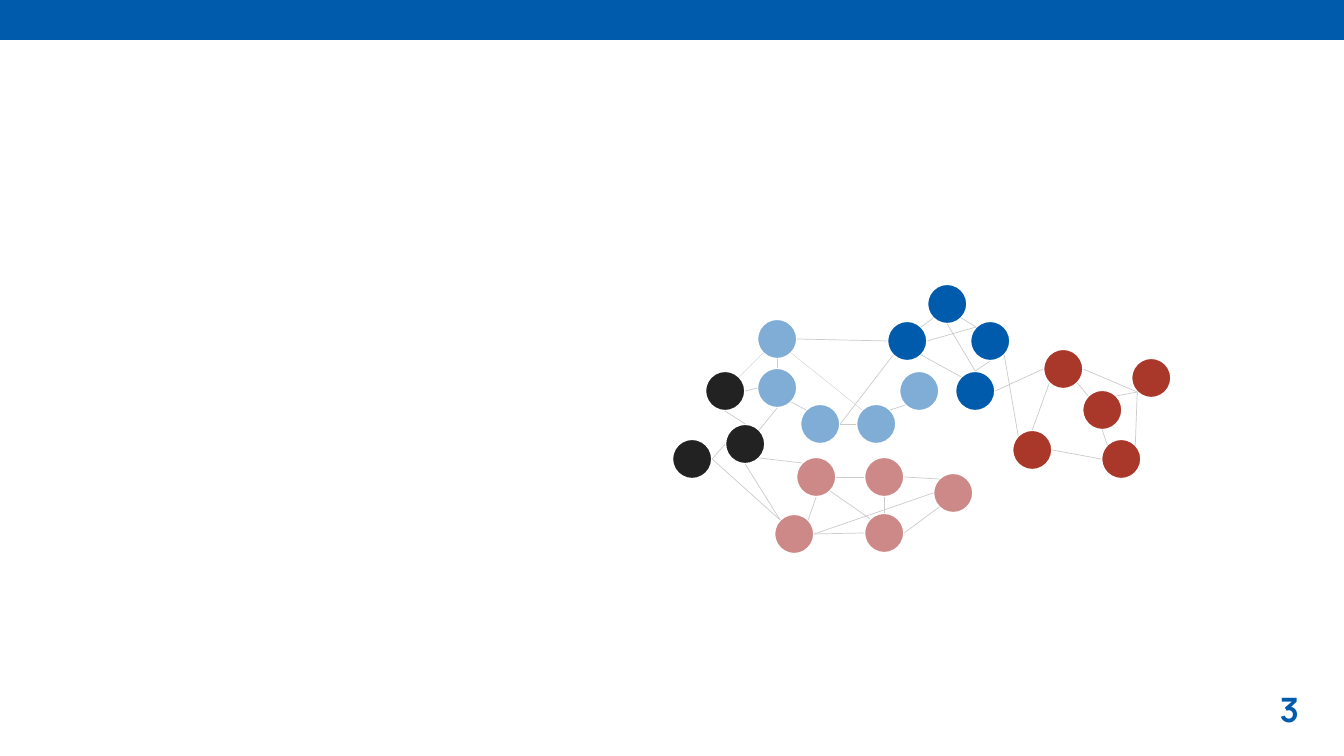
from math import sqrt

from lxml import etree
from pptx import Presentation
from pptx import util as u
from pptx.dml.color import RGBColor
from pptx.enum import shapes, text
from pptx.oxml import ns

SCALE = 914400 / 100.8
RADIUS = 20
COLOURS = {
    "navy": "005BAC",
    "sky": "80ADD6",
    "black": "222222",
    "red": "A9382B",
    "pink": "CD8987",
    "link": "CCCCCC",
    "white": "FFFFFF",
}
CENTRES = {
    "navy": [(907, 341), (947, 304), (975, 391), (990, 341)],
    "sky": [(777, 339), (777, 388), (820, 424), (876, 424), (919, 391)],
    "black": [(745, 444), (692, 459), (725, 391)],
    "red": [(1032, 450), (1121, 459), (1063, 369), (1151, 378), (1102, 410)],
    "pink": [(816, 477), (884, 477), (794, 534), (884, 533), (953, 493)],
}
LINKS = [
    "navy1 ne navy2 sw", "navy1 e navy4 nw", "sky5 sw sky4 ne", "sky3 e navy1 sw",
    "sky2 se sky3 nw", "sky1 e navy1 w", "sky2 n sky1 s", "sky2 s black1 ne",
    "sky2 w black3 e", "black3 s black1 n", "black2 e black1 w", "black2 e pink3 nw",
    "pink1 nw black1 se", "black1 s pink3 nw", "pink3 ne pink1 s", "pink3 e pink4 w",
    "pink4 n pink2 s", "pink1 e pink2 w", "pink3 e pink5 w", "pink5 nw pink2 e",
    "pink5 sw pink4 e", "pink1 se pink4 nw", "sky3 e sky4 w", "navy1 se navy3 nw",
    "navy2 s navy3 n", "navy3 n navy4 s", "navy4 nw navy2 se", "navy3 e red3 w",
    "navy4 se red1 nw", "red1 e red2 w", "red2 nw red5 s", "red5 nw red3 se",
    "red3 sw red1 n", "red3 e red4 sw", "red5 ne red4 sw", "red4 sw red2 ne",
]
THIN_LINKS = ["black3 ne sky1 sw", "sky4 nw sky1 se"]


def px(*lengths):
    return [u.Emu(round(length * SCALE)) for length in lengths]


def colour(name):
    return RGBColor.from_string(COLOURS[name])


def apply(target, values):
    for name, value in values.items():
        setattr(target, name, value)


def add_filled(parent, kind, box, fill):
    shape = parent.add_shape(kind, *px(*box))
    shape.shadow.inherit = False
    shape.fill.solid()
    shape.fill.fore_color.rgb = colour(fill)
    shape.line.fill.background()
    return shape


def add_node(parent, centre, fill):
    x, y = centre
    box = (x - RADIUS, y - RADIUS, 2 * RADIUS, 2 * RADIUS)
    node = add_filled(parent, shapes.MSO_SHAPE.OVAL, box, fill)
    node.line.color.rgb = colour("white")
    node.line.width = u.Pt(1.5)


def rim_point(centre, side):
    dx = ("e" in side) - ("w" in side)
    dy = ("s" in side) - ("n" in side)
    reach = RADIUS / sqrt(dx * dx + dy * dy)
    return round(centre[0] + dx * reach), round(centre[1] + dy * reach)


def add_link(parent, nodes, link, width):
    start, start_side, end, end_side = link.split()
    points = rim_point(nodes[start], start_side) + rim_point(nodes[end], end_side)
    connector = parent.add_connector(shapes.MSO_CONNECTOR.STRAIGHT, *px(*points))
    connector.line.color.rgb = colour("link")
    connector.line.width = u.Pt(width)
    properties = connector.element.find(ns.qn("p:spPr"))
    etree.SubElement(properties, ns.qn("a:effectLst"))


def add_network(slide):
    network = slide.shapes.add_group_shape().shapes
    nodes = {}
    for group, centres in CENTRES.items():
        for number, centre in enumerate(centres, 1):
            nodes[f"{group}{number}"] = centre
            add_node(network, centre, group)
    for links, width in ((LINKS, 0.5), (THIN_LINKS, 0.25)):
        for link in links:
            add_link(network, nodes, link, width)


def add_page_number(slide, number):
    frame = slide.shapes.add_textbox(*px(1252, 681, 74, 56)).text_frame
    apply(frame, {"word_wrap": True, "vertical_anchor": text.MSO_ANCHOR.MIDDLE})
    paragraph = frame.paragraphs[0]
    paragraph.alignment = text.PP_ALIGN.CENTER
    run = paragraph.add_run()
    run.text = number
    apply(run.font, {"name": "Manrope", "size": u.Pt(24), "bold": True})
    run.font.color.rgb = colour("navy")


def main():
    presentation = Presentation()
    apply(presentation, {"slide_width": u.Inches(13.33), "slide_height": u.Inches(7.5)})
    slide = presentation.slides.add_slide(presentation.slide_layouts[6])
    add_filled(slide.shapes, shapes.MSO_SHAPE.RECTANGLE, (0, 0, 1344, 40), "navy")
    add_page_number(slide, "3")
    add_network(slide)
    presentation.save("out.pptx")


main()
